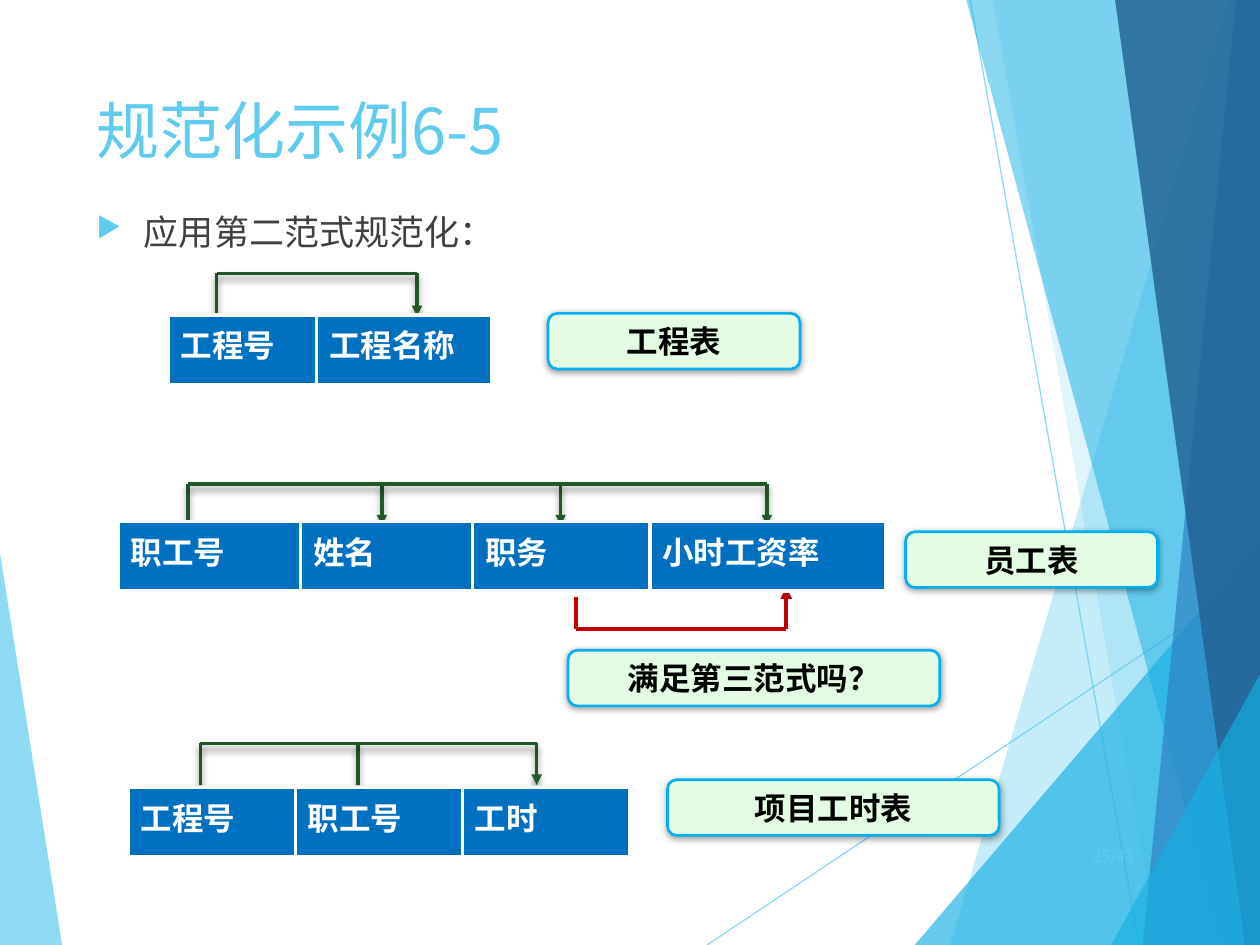
"""Build the second normal form slide: three relations, their dependencies and labels."""
from dataclasses import dataclass

from lxml.etree import SubElement
from pptx import Presentation
from pptx.dml.color import RGBColor as Rgb
from pptx.enum.shapes import MSO_CONNECTOR as Link, MSO_SHAPE as Shape
from pptx.enum.text import MSO_ANCHOR as Anchor, PP_ALIGN as Align
from pptx.oxml.ns import qn
from pptx.util import Pt

WIDTH, HEIGHT = 720, 540


@dataclass(frozen=True)
class Theme:
    sky: str = "5FCBEF"
    cyan: str = "17B0E4"
    blue: str = "2E83C3"
    navy: str = "226292"
    ink: str = "404040"
    black: str = "000000"
    white: str = "FFFFFF"
    green: str = "215828"
    red: str = "C00000"
    mint: str = "E4FCE4"
    rim: str = "00B0F0"
    header: str = "0070C0"
    font: str = "Noto Sans CJK SC"
    label_font: str = "Arial"
    title_size: int = 36
    body_size: int = 20
    label_size: int = 18
    number_size: int = 9


def assign(target, values):
    for name, value in values.items():
        setattr(target, name, value)


def add_node(parent, tag, **values):
    return SubElement(parent, qn(tag), {name: str(value) for name, value in values.items()})


def paint(fill, colour, alpha=100):
    fill.solid()
    fill.fore_color.rgb = Rgb.from_string(colour)
    if alpha < 100:
        for node in fill._xPr.iter(qn("a:srgbClr")):
            add_node(node, "a:alpha", val=alpha * 1000)


def add_shadow(effects, distance):
    shadow = add_node(effects, "a:outerShdw", blurRad=Pt(4), dist=Pt(distance),
                      dir=5400000, rotWithShape=0)
    add_node(add_node(shadow, "a:srgbClr", val="000000"), "a:alpha", val=40000)


class SlideBuilder:
    def __init__(self, page, theme):
        self.page, self.theme = page, theme

    def put_text(self, frame, text, size, colour, bold=False, font=None, align=Align.LEFT,
                 before=0):
        para = frame.paragraphs[0]
        assign(para, {"alignment": align, "space_before": Pt(before)})
        span = para.add_run()
        span.text = text
        assign(span.font, {"size": Pt(size), "bold": bold, "name": font or self.theme.font})
        span.font.color.rgb = Rgb.from_string(colour)
        add_node(span.font._element, "a:ea", typeface=self.theme.font)
        return para

    def text(self, text, area, size, colour, anchor=Anchor.TOP, **style):
        frame = self.page.shapes.add_textbox(*map(Pt, area)).text_frame
        assign(frame, {"word_wrap": True, "vertical_anchor": anchor})
        return self.put_text(frame, text, size, colour, **style)

    def bullet(self, text, area):
        theme = self.theme
        para = self.text(text, area, theme.body_size, theme.ink, before=10)
        props = para._p.get_or_add_pPr()
        props.set("marL", str(Pt(27)))
        props.set("indent", str(Pt(-27)))
        add_node(add_node(props, "a:buClr"), "a:srgbClr", val=theme.sky)
        add_node(props, "a:buSzPct", val=80000)
        add_node(props, "a:buChar", char="▶")

    def facet(self, edge, corners, colour, alpha):
        start, *rest = [(Pt(x), Pt(y)) for x, y in edge + corners]
        outline = self.page.shapes.build_freeform(*start)
        outline.add_line_segments(rest, close=True)
        shape = outline.convert_to_shape()
        shape.shadow.inherit = False
        shape.line.fill.background()
        paint(shape.fill, colour, alpha)

    def line(self, start, end, colour, width, alpha=100, arrow=False, shadow=False):
        link = self.page.shapes.add_connector(Link.STRAIGHT, *map(Pt, start + end))
        link.line.width = Pt(width)
        paint(link.line.fill, colour, alpha)
        if arrow:
            add_node(link.line._get_or_add_ln(), "a:tailEnd", type="triangle")
        effects = add_node(link._element.spPr, "a:effectLst")
        if shadow:
            add_shadow(effects, 3)

    def bracket(self, rail, stems, colour, width, shadow=False):
        for x, end, arrow in stems:
            self.line((x, rail), (x, end), colour, width, arrow=arrow, shadow=shadow)
        self.line((stems[0][0], rail), (stems[-1][0], rail), colour, width, shadow=shadow)

    def label(self, text, left, top, width):
        theme = self.theme
        box = self.page.shapes.add_shape(Shape.ROUNDED_RECTANGLE,
                                         *map(Pt, (left, top, width, 31.8)))
        paint(box.fill, theme.mint)
        paint(box.line.fill, theme.rim)
        box.line.width = Pt(1.5)
        box.shadow.inherit = False
        add_shadow(box._element.spPr.find(qn("a:effectLst")), 1)
        box.text_frame.vertical_anchor = Anchor.MIDDLE
        self.put_text(box.text_frame, text, theme.label_size, theme.black, bold=True,
                      font=theme.label_font, align=Align.CENTER)

    def relation(self, left, top, columns):
        theme = self.theme
        area = (left, top, sum(width for _, width in columns), 39.6)
        table = self.page.shapes.add_table(1, len(columns), *map(Pt, area)).table
        for index, (name, width) in enumerate(columns):
            table.columns[index].width = Pt(width)
            cell = table.cell(0, index)
            self.put_text(cell.text_frame, name, theme.label_size, theme.white, bold=True,
                          before=3.6)
            props = cell._tc.get_or_add_tcPr()
            for side in ("a:lnL", "a:lnR", "a:lnT", "a:lnB"):
                border = add_node(props, side, w=Pt(2.25))
                add_node(add_node(border, "a:solidFill"), "a:srgbClr", val=theme.white)
            paint(cell.fill, theme.header)


def draw_backdrop(builder):
    theme = builder.theme
    right = [(WIDTH, HEIGHT), (WIDTH, 0)]
    builder.facet([(0, 316), (35.5, HEIGHT)], [(0, HEIGHT)], theme.sky, 70)
    for start, end in (((404, HEIGHT), (WIDTH, 329)), ((554.4, 0), (651, HEIGHT))):
        builder.line(start, end, theme.sky, 0.75, alpha=70)
    for edge, corners, colour, alpha in (
        ([(702, 0), (543, HEIGHT)], right, theme.sky, 36),
        ([(567.4, 0), (661.7, HEIGHT)], right, theme.sky, 20),
        ([(522.7, HEIGHT), (WIDTH, 308.9)], right[:1], theme.cyan, 66),
        ([(552.2, 0), (698.4, HEIGHT)], right, theme.cyan, 50),
        ([(706.3, 0), (653, HEIGHT)], right, theme.blue, 70),
        ([(637.2, 0), (711.4, HEIGHT)], right, theme.navy, 82),
        ([(635, HEIGHT), (WIDTH, 385.2)], right[:1], theme.cyan, 66),
    ):
        builder.facet(edge, corners, colour, alpha)


def main():
    deck = Presentation()
    assign(deck, {"slide_width": Pt(WIDTH), "slide_height": Pt(HEIGHT)})
    theme = Theme()
    builder = SlideBuilder(deck.slides.add_slide(deck.slide_layouts[6]), theme)
    draw_backdrop(builder)
    builder.text("规范化示例6-5", (48.2, 48.2, 607, 51), theme.title_size, theme.sky,
                 anchor=Anchor.MIDDLE)
    builder.bullet("应用第二范式规范化：", (48.2, 116.6, 607, 347))
    builder.text("25/43", (595, 479, 60, 21), theme.number_size, theme.sky,
                 anchor=Anchor.MIDDLE, align=Align.RIGHT)

    for rail, end, stems in (
        (156.2, 180.7, ((123.8, False), (238.3, True))),
        (276.5, 300.2, ((107.3, False), (218.2, True), (320.4, True), (438.2, True))),
        (424.8, 448.6, ((114.5, False), (204.5, False), (306.7, True))),
    ):
        builder.bracket(rail, [(x, end, arrow) for x, arrow in stems], theme.green, 2, shadow=True)
    builder.bracket(359.3, [(329, 341.3, False), (449.3, 335.5, True)], theme.red, 2.25)

    for name, left, top, width in (
        ("工程表", 313.2, 179.1, 144),
        ("员工表", 517.5, 303.9, 144),
        ("项目工时表", 381.4, 445.6, 189.5),
        ("满足第三范式吗？", 324.6, 371.6, 212.4),
    ):
        builder.label(name, left, top, width)

    builder.relation(96, 180, [("工程号", 85), ("工程名称", 100)])
    builder.relation(67.5, 298, [("职工号", 104.2), ("姓名", 98.4), ("职务", 101.3),
                                 ("小时工资率", 134.6)])
    builder.relation(73.2, 450, [(name, 95.5) for name in ("工程号", "职工号", "工时")])
    deck.save("out.pptx")


if __name__ == "__main__":
    main()
